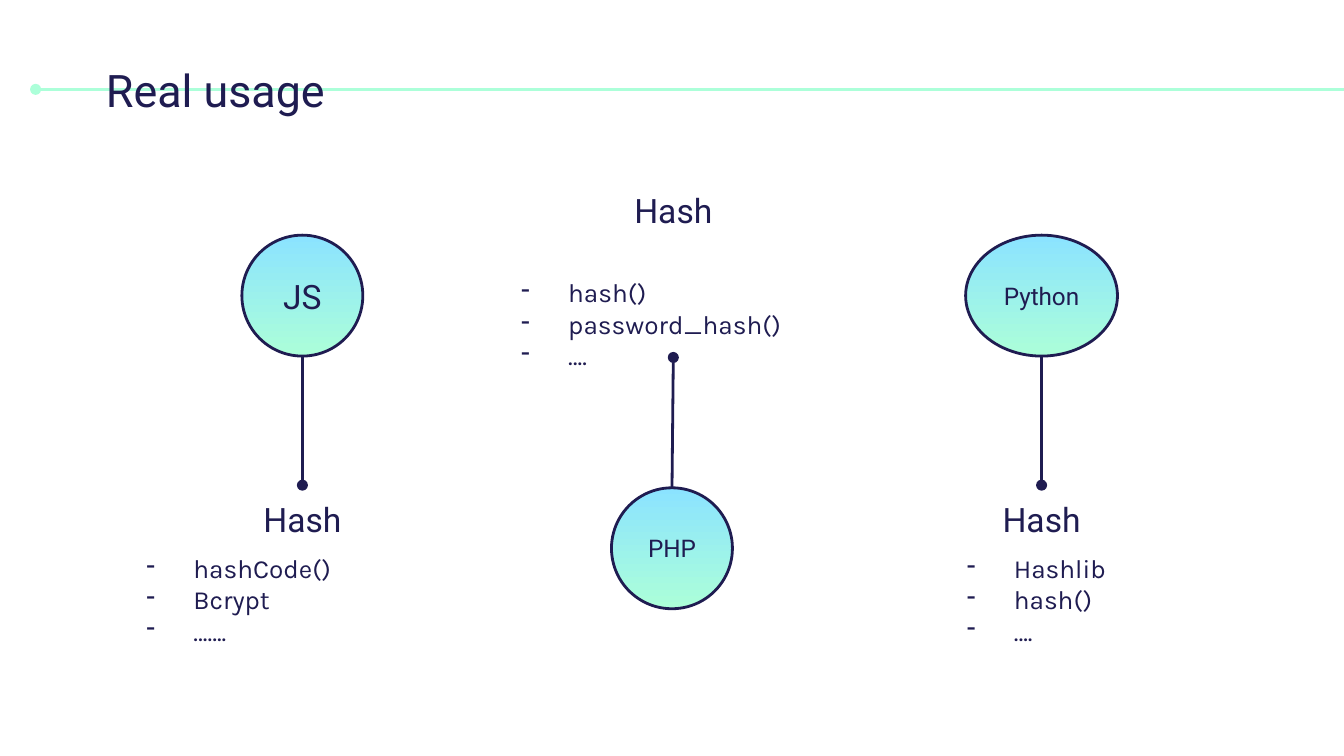
from lxml import etree
from pptx import Presentation
from pptx.dml.color import RGBColor
from pptx.enum.shapes import MSO_CONNECTOR, MSO_SHAPE
from pptx.enum.text import MSO_ANCHOR, PP_ALIGN
from pptx.oxml.ns import qn
from pptx.util import Pt

PX = 4572
OVAL = MSO_SHAPE.OVAL
LINE = MSO_CONNECTOR.STRAIGHT
LEFT, MID = PP_ALIGN.LEFT, PP_ALIGN.CENTER
TOP, CORE = MSO_ANCHOR.TOP, MSO_ANCHOR.MIDDLE

THEME = {
    "ink": RGBColor.from_string("1F1C51"),
    "sky": RGBColor.from_string("8BE3FF"),
    "mint": RGBColor.from_string("ACFFD9"),
    "line": Pt(1.5),
    "title": {"name": "Roboto", "size": Pt(24)},
    "head": {"name": "Roboto", "size": Pt(18)},
    "small": {"name": "Roboto", "size": Pt(13)},
    "list": {"name": "Karla", "size": Pt(14)},
}

deck = Presentation()
deck.slide_width, deck.slide_height = 2000 * PX, 1125 * PX
slide = deck.slides.add_slide(deck.slide_layouts[6])
shapes = slide.shapes


def write(shape, lines, style, align=LEFT, anchor=TOP, dash=False):
    frame = shape.text_frame
    form = {"word_wrap": True, "vertical_anchor": anchor}
    for side in ("left", "top", "right", "bottom"):
        form[f"margin_{side}"] = 20 * PX
    for key, value in form.items():
        setattr(frame, key, value)
    frame.text = "\n".join(lines)
    for para in frame.paragraphs:
        para.alignment = align
        for key, value in THEME[style].items():
            setattr(para.runs[0].font, key, value)
        para.runs[0].font.color.rgb = THEME["ink"]
        if dash:
            props = para._p.get_or_add_pPr()
            props.set("marL", str(100 * PX))
            props.set("indent", str(-70 * PX))
            tint = etree.SubElement(props, qn("a:buClr"))
            etree.SubElement(tint, qn("a:srgbClr"), val=str(THEME["ink"]))
            etree.SubElement(props, qn("a:buChar"), char="-")


def rule(ends, color, dot):
    link = shapes.add_connector(LINE, *[n * PX for n in ends])
    link.line.color.rgb = THEME[color]
    link.line.width = THEME["line"]
    etree.SubElement(link.line._get_or_add_ln(), qn(f"a:{dot}"), type="oval")
    etree.SubElement(link._element.spPr, qn("a:effectLst"))


rule((53, 133, 2020, 133), "mint", "headEnd")
title = shapes.add_textbox(138 * PX, 74 * PX, 1330 * PX, 118 * PX)
write(title, ["Real usage"], "title")

groups = [
    {"name": "JS", "style": "head", "disc": (360, 350, 180), "head": (289, 723),
     "list": (168, 802, 502), "items": ["hashCode()", "Bcrypt", "……."],
     "stem": (450, 530, 450, 722)},
    {"name": "PHP", "style": "small", "disc": (910, 726, 180), "head": (841, 263),
     "list": (726, 392, 552), "items": ["hash()", "password_hash()", "…."],
     "stem": (1000, 726, 1002, 532)},
    {"name": "Python", "style": "small", "disc": (1437, 350, 226), "head": (1389, 723),
     "list": (1389, 802, 322), "items": ["Hashlib", "hash()", "…."],
     "stem": (1550, 530, 1550, 722)},
]

for group in groups:
    x, y, wide = group["disc"]
    disc = shapes.add_shape(OVAL, x * PX, y * PX, wide * PX, 180 * PX)
    disc.shadow.inherit = False
    disc.fill.gradient()
    disc.fill.gradient_angle = 270
    for stop, color, place in zip(disc.fill.gradient_stops, ("sky", "mint"), (0, 1)):
        stop.color.rgb = THEME[color]
        stop.position = place
    disc.line.color.rgb = THEME["ink"]
    disc.line.width = THEME["line"]
    write(disc, [group["name"]], group["style"], MID, CORE)
    disc.text_frame.word_wrap = False

    x, y, wide = group["list"]
    box = shapes.add_textbox(x * PX, y * PX, wide * PX, 142 * PX)
    write(box, group["items"], "list", dash=True)

    x, y = group["head"]
    head = shapes.add_textbox(x * PX, y * PX, 322 * PX, 118 * PX)
    write(head, ["Hash"], "head", MID)
    rule(group["stem"], "ink", "tailEnd")

deck.save("out.pptx")
